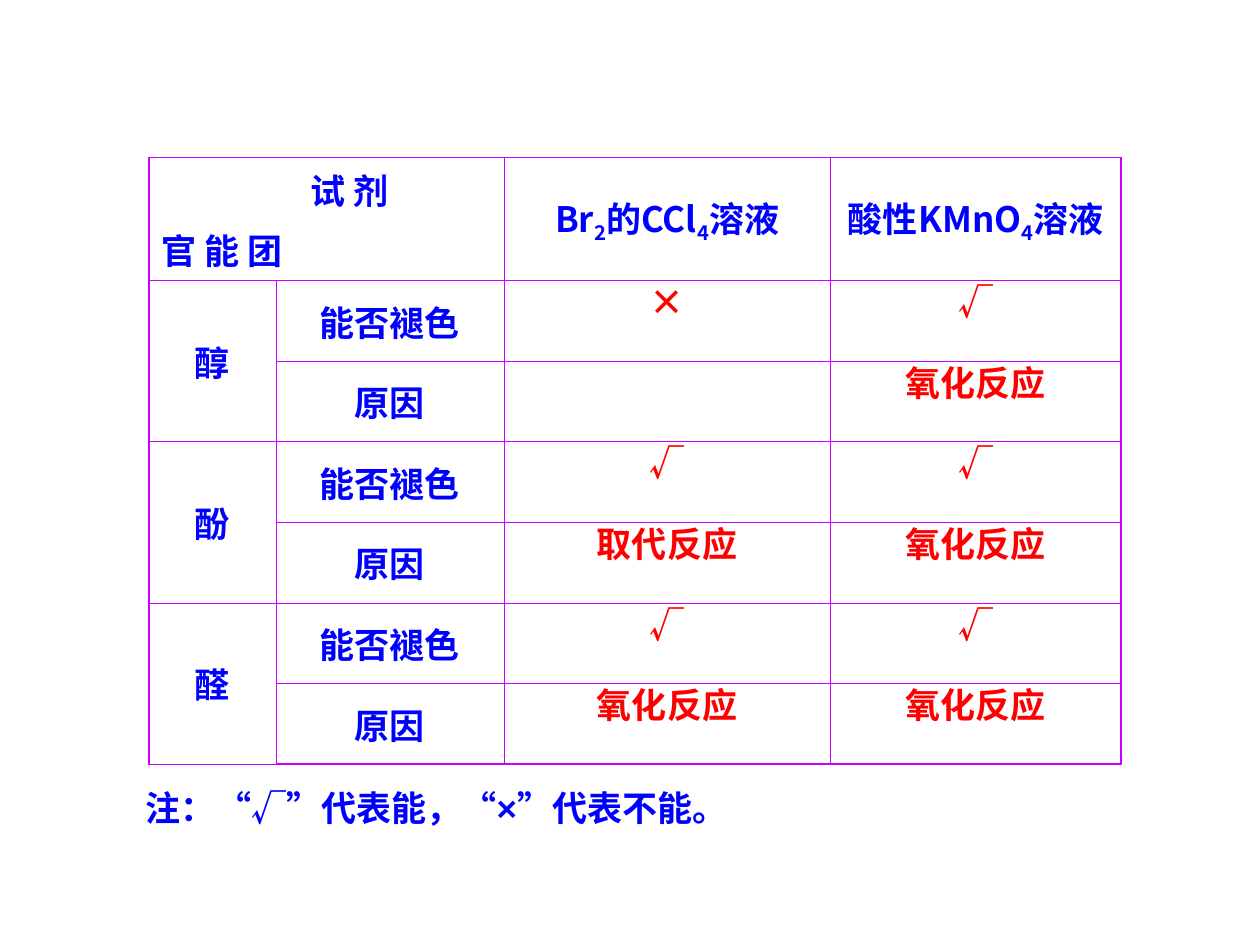
from dataclasses import dataclass

from lxml import etree
from pptx import Presentation
from pptx.dml.color import RGBColor
from pptx.enum.lang import MSO_LANGUAGE_ID
from pptx.enum.text import MSO_ANCHOR, MSO_AUTO_SIZE, PP_ALIGN
from pptx.oxml.ns import qn
from pptx.slide import Slide
from pptx.util import Inches, Pt

MIDDLE, BOTTOM = MSO_ANCHOR.MIDDLE, MSO_ANCHOR.BOTTOM
LEFT, CENTER = PP_ALIGN.LEFT, PP_ALIGN.CENTER
GROW = MSO_AUTO_SIZE.SHAPE_TO_FIT_TEXT
CHINESE = MSO_LANGUAGE_ID.SIMPLIFIED_CHINESE

BLUE = RGBColor(0x00, 0x00, 0xFF)
RED = RGBColor(0xFF, 0x00, 0x00)
PURPLE = RGBColor(0xCC, 0x00, 0xFF)

TABLE_LEFT, TABLE_TOP = 1.18, 1.25
COLUMNS = [1.01, 1.81, 2.59, 2.31]
ROWS = [0.87] + [0.64] * 6
GROUPS = ["醇", "酚", "醛"]
QUESTIONS = ["能否褪色", "原因"]
BROMINE = ("Br", "2", "的CCl", "4", "溶液")
PERMANGANATE = ("酸性KMnO", "4", "溶液")
ANSWERS = [
    ("×", "√"),
    ("", "氧化反应"),
    ("√", "√"),
    ("取代反应", "氧化反应"),
    ("√", "√"),
    ("氧化反应", "氧化反应"),
]


@dataclass
class ReactionPage:
    """Text style and drawing methods for the reaction table slide."""

    page: Slide
    east_font: str = "Noto Sans CJK SC"
    size: float = 20
    thin: float = 0.45
    thick: float = 1.08

    def add_spans(self, para, spans, color=BLUE, align=CENTER, font=None):
        para.alignment = align
        for index, text in enumerate(spans):
            span = para.add_run()
            span.text = text
            span.font.size = Pt(self.size)
            span.font.bold = True
            span.font.color.rgb = color
            span.font.language_id = CHINESE
            span.font.name = font or self.east_font
            properties = span._r.get_or_add_rPr()
            etree.SubElement(properties, qn("a:ea"), typeface=self.east_font)
            if index % 2:
                properties.set("baseline", "-25000")

    def border(self, cell, side, outer):
        width = Pt(self.thick if outer else self.thin)
        line = etree.SubElement(
            cell._tc.get_or_add_tcPr(), qn(f"a:ln{side}"), w=str(int(width))
        )
        fill = etree.SubElement(line, qn("a:solidFill"))
        etree.SubElement(fill, qn("a:srgbClr"), val=str(PURPLE))

    def table(self):
        frame = self.page.shapes.add_table(
            len(ROWS), len(COLUMNS), Inches(TABLE_LEFT), Inches(TABLE_TOP),
            Inches(sum(COLUMNS)), Inches(sum(ROWS)),
        )
        table = frame.table
        table.first_row = table.horz_banding = False
        for column, width in zip(table.columns, COLUMNS):
            column.width = Inches(width)
        for row, height in zip(table.rows, ROWS):
            row.height = Inches(height)
        for r in range(len(ROWS)):
            for c in range(len(COLUMNS)):
                cell = table.cell(r, c)
                cell.vertical_anchor = MIDDLE
                self.border(cell, "L", c == 0)
                self.border(cell, "R", c == len(COLUMNS) - 1)
                self.border(cell, "T", r == 0)
                self.border(cell, "B", r == len(ROWS) - 1)
                cell.fill.background()
        return table

    def cell(self, table, row, column, spans):
        self.add_spans(table.cell(row, column).text_frame.paragraphs[0], spans)

    def corner(self, table):
        table.cell(0, 0).merge(table.cell(0, 1))
        frame = table.cell(0, 0).text_frame
        reagent = frame.paragraphs[0]
        reagent._p.get_or_add_pPr().set("marL", str(int(Inches(0.37))))
        self.add_spans(reagent, ["试 剂"])
        group = frame.add_paragraph()
        group.space_before = Pt(5)
        self.add_spans(group, ["官 能 团"], align=LEFT)

    def box(self, left, top, width, height, anchor):
        box = self.page.shapes.add_textbox(
            Inches(left), Inches(top), Inches(width), Inches(height)
        )
        frame = box.text_frame
        frame.word_wrap = True
        frame.auto_size = GROW
        frame.vertical_anchor = anchor
        return frame.paragraphs[0]

    def answer(self, row, column, text):
        width = 0.78 if len(text) == 1 else 2.14
        center = TABLE_LEFT + sum(COLUMNS[:column]) + COLUMNS[column] / 2
        top = TABLE_TOP + sum(ROWS[:row]) - 0.05
        para = self.box(center - width / 2, top, width, 0.54, BOTTOM)
        para.line_spacing = 1.3
        self.add_spans(para, [text], RED)

    def note(self, text):
        para = self.box(1.06, 6.19, 5.68, 0.44, MIDDLE)
        self.add_spans(para, [text], align=LEFT, font="Arial")


def main():
    deck = Presentation()
    deck.slide_width, deck.slide_height = Inches(10), Inches(7.5)
    page = ReactionPage(deck.slides.add_slide(deck.slide_layouts[6]))

    table = page.table()
    page.corner(table)
    page.cell(table, 0, 2, BROMINE)
    page.cell(table, 0, 3, PERMANGANATE)
    for index, group in enumerate(GROUPS):
        first = 1 + index * len(QUESTIONS)
        table.cell(first, 0).merge(table.cell(first + 1, 0))
        page.cell(table, first, 0, [group])
        for offset, question in enumerate(QUESTIONS):
            page.cell(table, first + offset, 1, [question])

    for row, answers in enumerate(ANSWERS, 1):
        for column, text in enumerate(answers, 2):
            if text:
                page.answer(row, column, text)
    page.note("注：“√”代表能，“×”代表不能。")
    deck.save("out.pptx")


if __name__ == "__main__":
    main()
